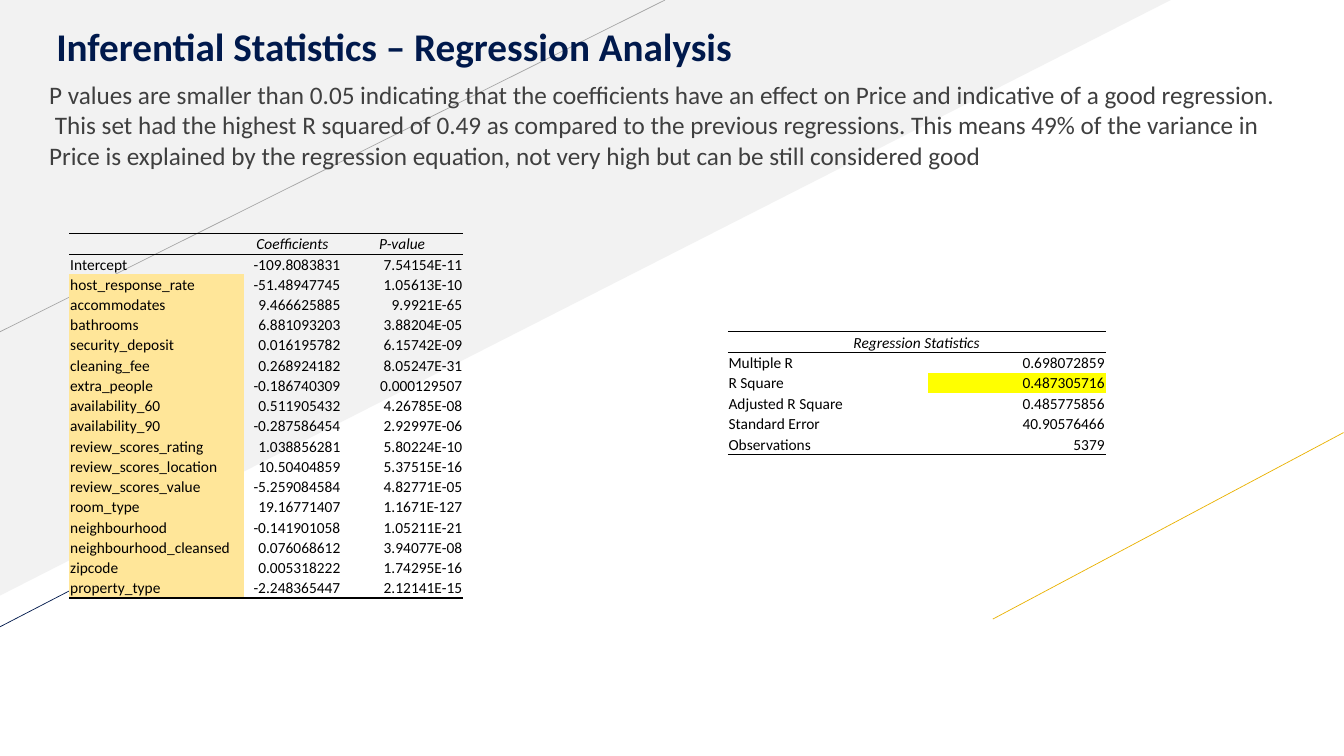
from lxml.etree import SubElement
from pptx import Presentation
from pptx.dml.color import RGBColor
from pptx.enum.shapes import MSO_CONNECTOR, MSO_SHAPE
from pptx.enum.text import MSO_ANCHOR, PP_ALIGN
from pptx.oxml.ns import qn
from pptx.util import Cm, Pt

# Content
TITLE = "Inferential Statistics – Regression Analysis"
SUMMARY = (
    "P values are smaller than 0.05 indicating that the coefficients have an effect on Price "
    "and indicative of a good regression.  This set had the highest R squared of 0.49 as compared "
    "to the previous regressions. This means 49% of the variance in Price is explained by the "
    "regression equation, not very high but can be still considered good"
)
STATISTICS = [
    ("Regression Statistics", ""),
    ("Multiple R", "0.698072859"),
    ("R Square", "0.487305716"),
    ("Adjusted R Square", "0.485775856"),
    ("Standard Error", "40.90576466"),
    ("Observations", "5379"),
]
COEFFICIENTS = [
    ("", "Coefficients", "P-value"),
    ("Intercept", "-109.8083831", "7.54154E-11"),
    ("host_response_rate", "-51.48947745", "1.05613E-10"),
    ("accommodates", "9.466625885", "9.9921E-65"),
    ("bathrooms", "6.881093203", "3.88204E-05"),
    ("security_deposit", "0.016195782", "6.15742E-09"),
    ("cleaning_fee", "0.268924182", "8.05247E-31"),
    ("extra_people", "-0.186740309", "0.000129507"),
    ("availability_60", "0.511905432", "4.26785E-08"),
    ("availability_90", "-0.287586454", "2.92997E-06"),
    ("review_scores_rating", "1.038856281", "5.80224E-10"),
    ("review_scores_location", "10.50404859", "5.37515E-16"),
    ("review_scores_value", "-5.259084584", "4.82771E-05"),
    ("room_type", "19.16771407", "1.1671E-127"),
    ("neighbourhood", "-0.141901058", "1.05211E-21"),
    ("neighbourhood_cleansed", "0.076068612", "3.94077E-08"),
    ("zipcode", "0.005318222", "1.74295E-16"),
    ("property_type", "-2.248365447", "2.12141E-15"),
]


class Theme:
    font = "Calibri"
    navy, body, black = "00194C", "3F3F3F", "000000"
    panel, grey, gold = "F2F2F2", "A6A6A6", "EAB200"
    amber, yellow = "FFE699", "FFFF00"
    title_size, body_size, table_size = 28, 18, 11
    thin, thick = 0.5, 1


# Start, end (cm) and colour of each diagonal
DIAGONALS = [
    ((0, 8.36), (16.76, 0), Theme.grey),
    ((25.02, 15.6), (33.86, 10.9), Theme.gold),
    ((-0.05, 15.82), (5.28, 13.06), Theme.navy),
]


def color(value):
    return RGBColor.from_string(value)


def style_font(font, size, shade, bold=False, italic=False):
    font.name, font.size = Theme.font, Pt(size)
    font.bold, font.italic = bold, italic
    font.color.rgb = color(shade)


def add_backdrop(slide):
    panel = slide.shapes.add_shape(MSO_SHAPE.RIGHT_TRIANGLE, 0, 0, Cm(29.51), Cm(15.01))
    panel.shadow.inherit = False
    panel.fill.solid()
    panel.fill.fore_color.rgb = color(Theme.panel)
    panel.line.fill.background()
    panel.element.spPr.find(qn("a:xfrm")).set("flipV", "1")
    for start, end, shade in DIAGONALS:
        ends = [Cm(value) for value in start + end]
        line = slide.shapes.add_connector(MSO_CONNECTOR.STRAIGHT, *ends)
        line.line.color.rgb = color(shade)
        line.line.width = Pt(Theme.thin)
        SubElement(line.element.spPr, qn("a:effectLst"))


def add_text(slide, text, place, size, shade, bold=False):
    box = slide.shapes.add_textbox(*[Cm(value) for value in place])
    box.text_frame.word_wrap = True
    box.text_frame.text = text
    style_font(box.text_frame.paragraphs[0].runs[0].font, size, shade, bold)


def set_borders(cell, top, bottom):
    properties = cell._tc.get_or_add_tcPr()
    for side, width in (("L", 0), ("R", 0), ("T", top), ("B", bottom)):
        edge = SubElement(properties, qn(f"a:ln{side}"), w=str(Pt(width)))
        if width:
            paint = SubElement(edge, qn("a:solidFill"))
            SubElement(paint, qn("a:srgbClr"), val=Theme.black)
        else:
            SubElement(edge, qn("a:noFill"))


def fill_cell(cell, text, header, align, shade):
    cell.margin_left = cell.margin_right = cell.margin_top = Cm(0.02)
    cell.margin_bottom = 0
    cell.vertical_anchor = MSO_ANCHOR.BOTTOM
    if shade:
        cell.fill.solid()
        cell.fill.fore_color.rgb = color(shade)
    else:
        cell.fill.background()
    para = cell.text_frame.paragraphs[0]
    para.alignment = align
    if text:
        para.text = text
        style_font(para.runs[0].font, Theme.table_size, Theme.black, italic=header)
    else:
        # Keeps an empty cell from stretching its row
        SubElement(para._p, qn("a:endParaRPr"), sz=str(Theme.table_size * 100))


def add_table(slide, rows, left, top, widths, height, highlight):
    frame = slide.shapes.add_table(
        len(rows), len(widths), Cm(left), Cm(top), Cm(sum(widths)), Cm(height))
    table = frame.table
    table.first_row = table.horz_banding = False
    for column, width in zip(table.columns, widths):
        column.width = Cm(width)
    last = len(rows) - 1
    for r, row in enumerate(rows):
        table.rows[r].height = Cm(height / len(rows))
        top_width = {0: Theme.thick, 1: Theme.thin}.get(r, 0)
        bottom_width = {0: Theme.thin, last: Theme.thick}.get(r, 0)
        for c, text in enumerate(row):
            cell = table.cell(r, c)
            align = PP_ALIGN.CENTER if r == 0 else PP_ALIGN.RIGHT if c else PP_ALIGN.LEFT
            set_borders(cell, top_width, bottom_width)
            fill_cell(cell, text, r == 0, align, highlight(r, c))
    return table


def main():
    deck = Presentation()
    deck.slide_width, deck.slide_height = Cm(33.87), Cm(19.05)
    page = deck.slides.add_slide(deck.slide_layouts[6])

    # Backdrop
    add_backdrop(page)

    # Heading and summary
    add_text(page, SUMMARY, (0.99, 1.88, 31.52, 2.57), Theme.body_size, Theme.body)
    add_text(page, TITLE, (1.17, 0.43, 31.34, 1.45), Theme.title_size, Theme.navy, bold=True)

    # Model fit, with R Square marked
    statistics = add_table(
        page, STATISTICS, 18.34, 8.36, (5.05, 4.47), 3.1,
        lambda r, c: Theme.yellow if (r, c) == (2, 1) else None)
    statistics.cell(0, 0).merge(statistics.cell(0, 1))

    # Coefficients, with the predictor names marked
    add_table(
        page, COEFFICIENTS, 1.75, 5.89, (4.39, 2.46, 3.07), 9.19,
        lambda r, c: Theme.amber if r > 1 and c == 0 else None)

    deck.save("out.pptx")


if __name__ == "__main__":
    main()
